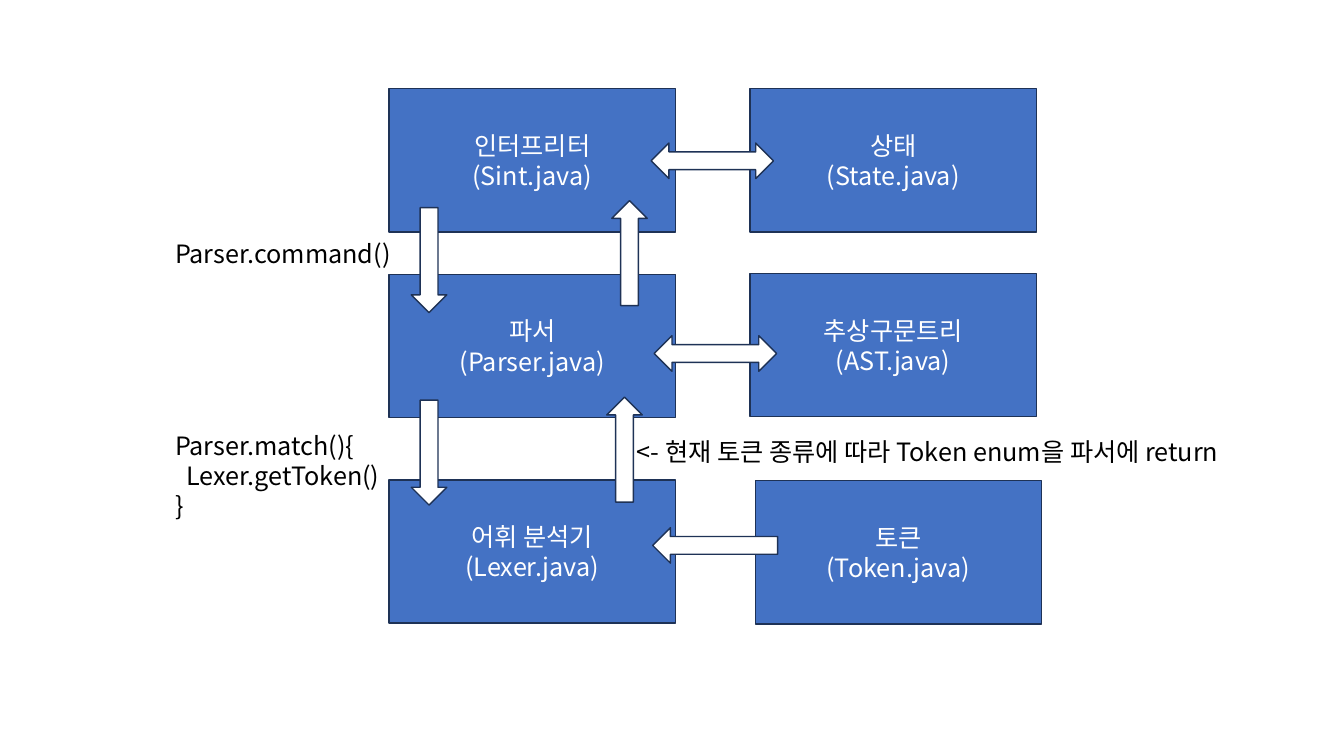
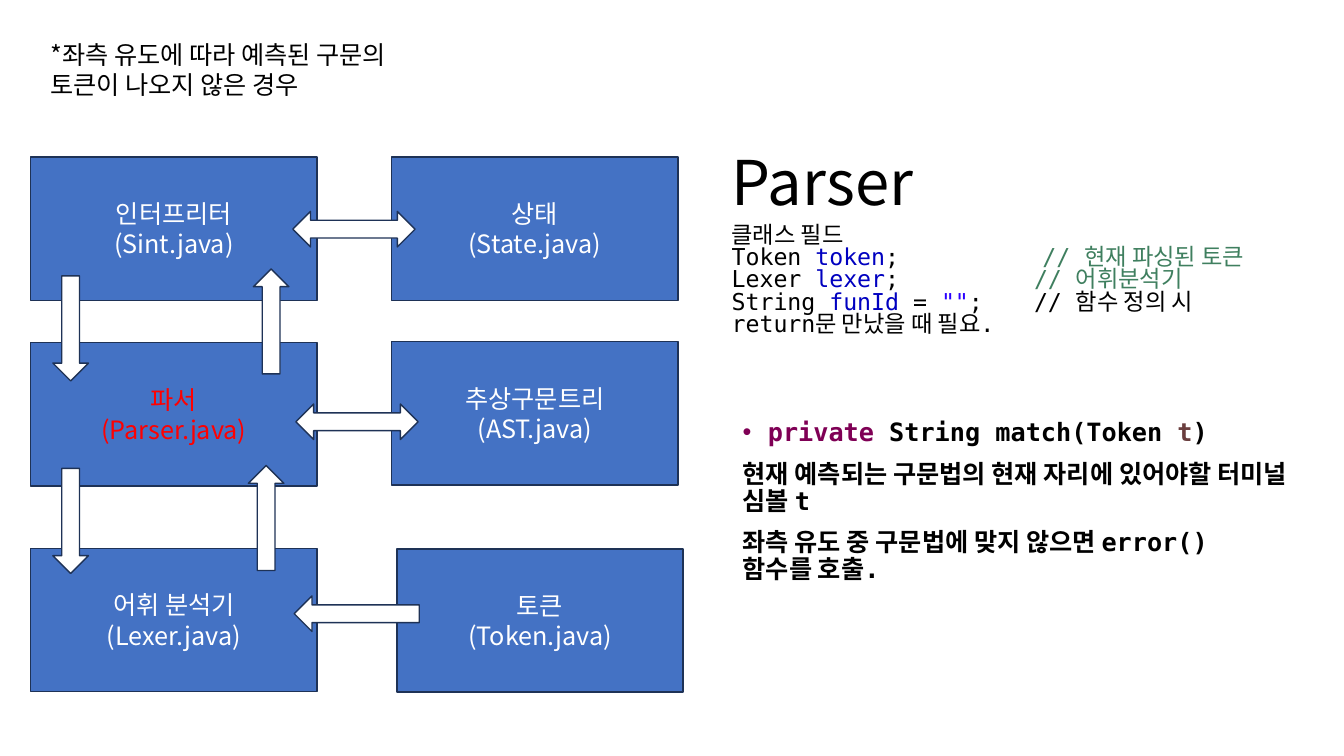
from pptx import Presentation
from pptx.dml.color import RGBColor
from pptx.enum import shapes, text
from pptx.oxml import ns
from pptx.util import Pt
from lxml import etree

# Shared style
SANS, MONO = "Noto Sans CJK KR", "DejaVu Sans Mono"
BLACK, WHITE, RED = "000000", "FFFFFF", "FF0000"
BLUE, OUTLINE = "4472C4", "1E3256"
KEYWORD, FIELD, STRING = "7F0055", "0000C0", "2A00FF"
COMMENT, ARGUMENT = "3F7F5F", "6A3E3E"

# Class diagram, measured from the corner of its first box
BOX_SIZE = (204.5, 102.3)
BOXES = [
    (0, 0, "인터프리터", "(Sint.java)"),
    (257.8, 0, "상태", "(State.java)"),
    (0, 132.6, "파서", "(Parser.java)"),
    (257.8, 131.9, "추상구문트리", "(AST.java)"),
    (0, 279.4, "어휘 분석기", "(Lexer.java)"),
    (261.5, 279.9, "토큰", "(Token.java)"),
]
THICK = 25.4
ARROW_SIZES = {
    "DOWN_ARROW": (THICK, 75),
    "UP_ARROW": (THICK, 75),
    "LEFT_RIGHT_ARROW": (87.4, THICK),
    "LEFT_ARROW": (89.3, THICK),
}
ARROWS = [
    ("DOWN_ARROW", 15.8, 84.9),
    ("UP_ARROW", 159, 79.9),
    ("DOWN_ARROW", 15.8, 222.4),
    ("UP_ARROW", 155.4, 220.3),
    ("LEFT_RIGHT_ARROW", 187.1, 38.8),
    ("LEFT_RIGHT_ARROW", 189.3, 176.4),
    ("LEFT_ARROW", 188.2, 313.5),
]

# Slide content: a paragraph is (spans, options), a span is (words, colour)
FLOW_NOTES = [
    ((118, 166.4, 180, 29), [([("Parser.command()", BLACK)], {})]),
    ((118, 303.8, 204.5, 72.7), [
        ([("Parser.match(){", BLACK)], {}),
        ([("Lexer.getToken()", BLACK)], {"indent": 8}),
        ([("}", BLACK)], {}),
    ]),
    ((447.8, 308.2, 469.5, 29),
     [([("<- 현재 토큰 종류에 따라 Token enum을 파서에 return", BLACK)], {})]),
]
CASE_NOTE = [([("*좌측 유도에 따라 예측된 구문의 토큰이 나오지 않은 경우", BLACK)], {})]
TITLE = [([("Parser", BLACK)], {})]
FIELDS = [
    ([("클래스 필드", BLACK)], {}),
    ([("Token ", BLACK), ("token", FIELD), (";\t", BLACK),
      ("// 현재 파싱된 토큰", COMMENT)], {"tab": 222}),
    ([("Lexer ", BLACK), ("lexer", FIELD), (";\t", BLACK),
      ("// 어휘분석기", COMMENT)], {"tab": 216}),
    ([("String ", BLACK), ("funId", FIELD), (" = ", BLACK), ('""', STRING),
      (";\t// 함수 정의 시 return문 만났을 때 필요.", BLACK)], {"tab": 216}),
]
METHOD = [
    ([("private", KEYWORD), (" String match(Token ", BLACK),
      ("t", ARGUMENT), (")", BLACK)], {"bullet": True}),
    ([("현재 예측되는 구문법의 현재 자리에 있어야할 터미널 심볼 t", BLACK)], {}),
    ([("좌측 유도 중 구문법에 맞지 않으면 error() 함수를 호출.", BLACK)], {}),
]


def colour(value):
    return RGBColor.from_string(value)


def add_element(parent, tag, **attributes):
    element = etree.SubElement(parent, ns.qn(tag))
    for name, value in attributes.items():
        element.set(name, str(value))
    return element


def write(shape, paragraphs, size=18, font=SANS, bold=False,
          anchor=text.MSO_ANCHOR.TOP, **paragraph_format):
    frame = shape.text_frame
    frame.word_wrap = True
    frame.auto_size = text.MSO_AUTO_SIZE.NONE
    frame.vertical_anchor = anchor
    for number, (spans, options) in enumerate(paragraphs):
        para = frame.add_paragraph() if number else frame.paragraphs[0]
        for name, value in paragraph_format.items():
            setattr(para, name, value)
        for words, hue in spans:
            span = para.add_run()
            span.text = words
            looks = {"name": font, "size": Pt(size), "bold": bold}
            for name, value in looks.items():
                setattr(span.font, name, value)
            span.font.color.rgb = colour(hue)
            add_element(span.font._element, "a:ea", typeface=SANS)
        properties = para._p.get_or_add_pPr()
        if "indent" in options:
            properties.set("marL", str(Pt(options["indent"])))
        if "bullet" in options:
            properties.set("marL", str(Pt(18)))
            properties.set("indent", str(Pt(-18)))
            add_element(properties, "a:buFont", typeface="Arial")
            add_element(properties, "a:buChar", char="•")
        if "tab" in options:
            stops = add_element(properties, "a:tabLst")
            add_element(stops, "a:tab", pos=Pt(options["tab"]), algn="l")


def add_text(page, place, paragraphs, **style):
    box = page.shapes.add_textbox(*map(Pt, place))
    write(box, paragraphs, **style)


def add_block(page, kind, place, fill):
    block = page.shapes.add_shape(kind, *map(Pt, place))
    block.shadow.inherit = False
    block.fill.solid()
    block.fill.fore_color.rgb = colour(fill)
    block.line.color.rgb = colour(OUTLINE)
    block.line.width = Pt(1)
    return block


def add_diagram(page, left, top, highlight=None):
    for x, y, name, file_name in BOXES:
        box = add_block(page, shapes.MSO_SHAPE.RECTANGLE,
                        (left + x, top + y, *BOX_SIZE), BLUE)
        hue = RED if name == highlight else WHITE
        write(box, [([(line, hue)], {}) for line in (name, file_name)],
              anchor=text.MSO_ANCHOR.MIDDLE, alignment=text.PP_ALIGN.CENTER)
    for kind, x, y in ARROWS:
        add_block(page, shapes.MSO_SHAPE[kind],
                  (left + x, top + y, *ARROW_SIZES[kind]), WHITE)


def build_flow(deck):
    page = deck.slides.add_slide(deck.slide_layouts[6])
    add_diagram(page, 278, 63.4)
    for place, paragraphs in FLOW_NOTES:
        add_text(page, place, paragraphs)


def build_parser(deck):
    page = deck.slides.add_slide(deck.slide_layouts[5])
    # Title
    title = page.shapes.title
    place = dict(left=515.5, top=85, width=406, height=95)
    for name, value in place.items():
        setattr(title, name, Pt(value))
    write(title, TITLE, size=44, anchor=text.MSO_ANCHOR.MIDDLE,
          alignment=text.PP_ALIGN.LEFT, line_spacing=0.9)
    # Diagram and explanations
    add_diagram(page, 22, 112.2, highlight="파서")
    add_text(page, (28.8, 24.5, 265, 51), CASE_NOTE)
    add_text(page, (523.4, 296.6, 406, 197.3), METHOD, font=MONO, bold=True,
             line_spacing=0.9, space_before=Pt(10))
    add_text(page, (515.5, 153.4, 406, 95), FIELDS, size=16.6, font=MONO,
             anchor=text.MSO_ANCHOR.MIDDLE, line_spacing=0.8)


def main():
    deck = Presentation()
    deck.slide_width, deck.slide_height = Pt(960), Pt(540)
    build_flow(deck)
    build_parser(deck)
    deck.save("out.pptx")


if __name__ == "__main__":
    main()
